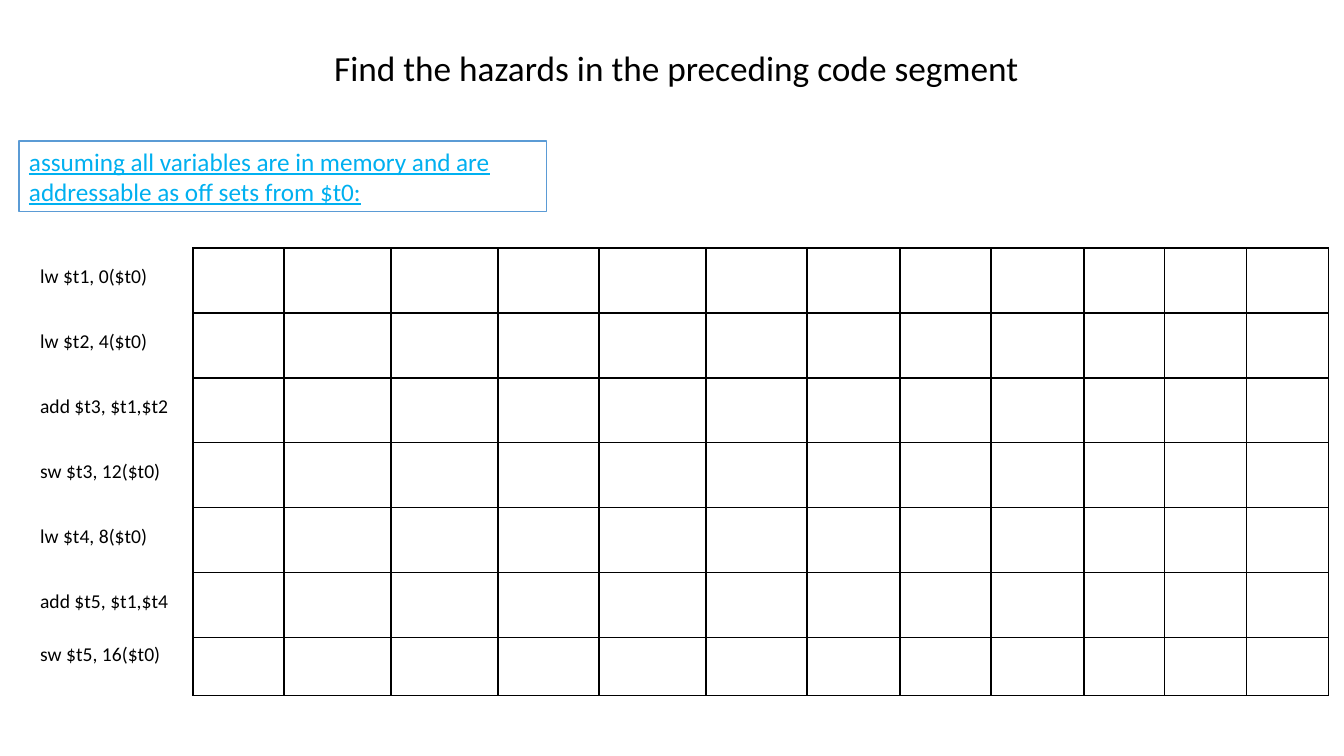
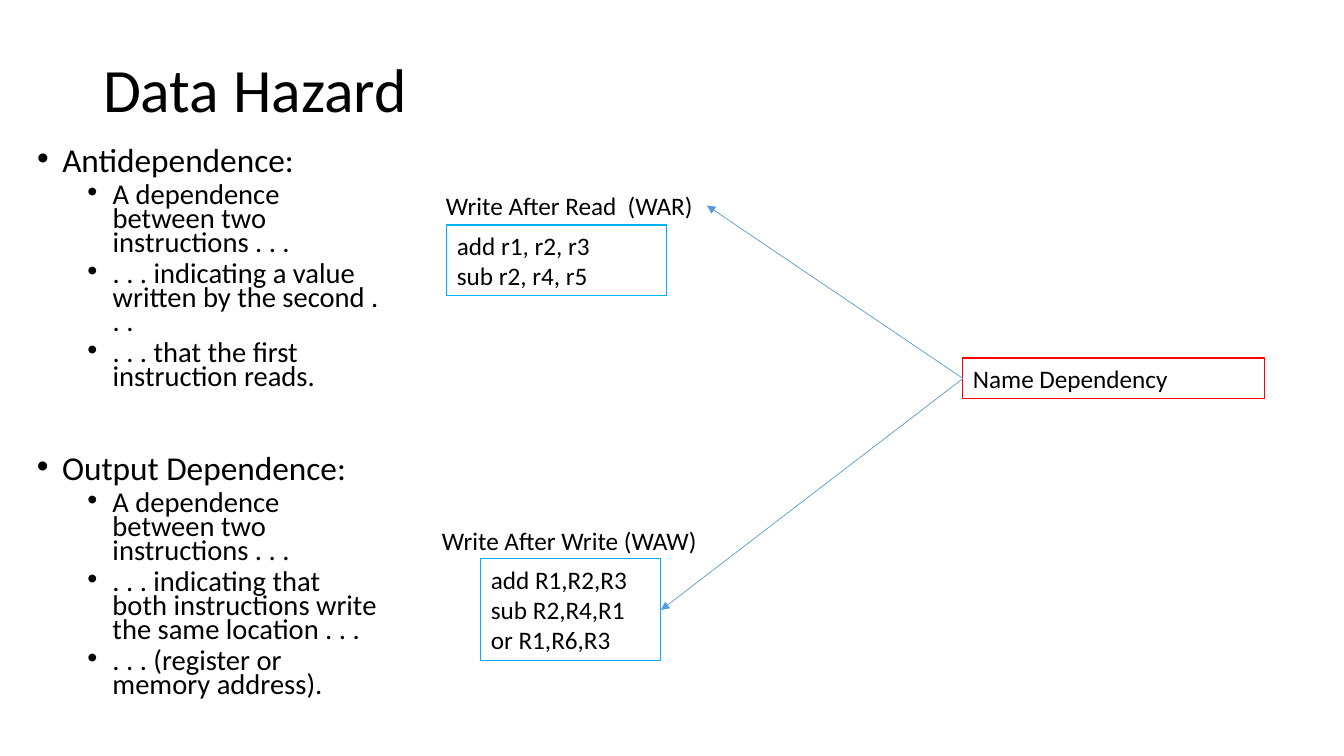
from lxml import etree
from pptx import Presentation
from pptx.dml.color import RGBColor
from pptx.enum.shapes import MSO_CONNECTOR, MSO_SHAPE
from pptx.enum.text import MSO_ANCHOR, MSO_AUTO_SIZE, PP_ALIGN
from pptx.oxml.ns import qn
from pptx.util import Emu, Pt

LEFT = PP_ALIGN.LEFT
TOP, MIDDLE = MSO_ANCHOR.TOP, MSO_ANCHOR.MIDDLE
FIXED, GROW = MSO_AUTO_SIZE.NONE, MSO_AUTO_SIZE.SHAPE_TO_FIT_TEXT
RECTANGLE = MSO_SHAPE.RECTANGLE
STRAIGHT = MSO_CONNECTOR.STRAIGHT
LEFT_SITE, RIGHT_SITE = 1, 3

PIXEL = 914400 / 100.8
FONT = "Calibri"
COLORS = {
    "text": "000000",
    "paper": "FFFFFF",
    "blue": "5B9BD5",
    "cyan": "00B0F0",
    "red": "FF0000",
}


def write_text(shape, lines, size, color="text", spacing=None, anchor=TOP, fit=FIXED, wrap=True):
    frame = shape.text_frame
    frame.word_wrap = wrap
    frame.auto_size = fit
    frame.vertical_anchor = anchor
    for index, line in enumerate(lines):
        paragraph = frame.add_paragraph() if index else frame.paragraphs[0]
        paragraph.alignment = LEFT
        paragraph.line_spacing = spacing
        run = paragraph.add_run()
        run.text = line
        run.font.name = FONT
        run.font.size = Pt(size)
        run.font.color.rgb = RGBColor.from_string(COLORS[color])
    return frame.paragraphs


def place(shape, *box):
    shape.left, shape.top, shape.width, shape.height = [Emu(round(side * PIXEL)) for side in box]
    return shape


presentation = Presentation()
presentation.slide_width = Emu(round(1344 * PIXEL))
presentation.slide_height = Emu(round(756 * PIXEL))
content_layout, title_layout = presentation.slide_layouts[1], presentation.slide_layouts[5]

titles = [
    (title_layout, "Find the hazards in the preceding code segment", 25.2, (324, 35, 856, 70)),
    (content_layout, "Data Hazard", 44, (93, 40, 355, 105)),
]
slides = []
for layout, heading, size, box in titles:
    slide = presentation.slides.add_slide(layout)
    title = place(slide.shapes.title, *box)
    write_text(title, [heading], size, spacing=0.9, anchor=MIDDLE)
    slides.append(slide)
exercise, hazards = slides

boxes = [
    (exercise, "blue", "cyan", (19, 141, 528, 71),
     ["assuming all variables are in memory and are addressable as off sets from $t0:"]),
    (hazards, "cyan", "text", (447, 225, 220, 71), ["add r1, r2, r3", "sub r2, r4, r5"]),
    (hazards, "cyan", "text", (481, 559, 180, 102), ["add R1,R2,R3", "sub R2,R4,R1", "or R1,R6,R3"]),
    (hazards, "red", "text", (963, 358, 302, 41), ["Name Dependency"]),
]
outlined = []
for slide, outline, color, box, lines in boxes:
    shape = place(slide.shapes.add_shape(RECTANGLE, 0, 0, 0, 0), *box)
    shape.shadow.inherit = False
    shape.fill.background()
    shape.line.color.rgb = RGBColor.from_string(COLORS[outline])
    shape.line.width = Pt(0.75)
    write_text(shape, lines, 18, color, fit=GROW)
    outlined.append(shape)
assumption, war_code, waw_code, name_dependency = outlined
assumption.text_frame.paragraphs[0].runs[0].font.underline = True

instructions = [
    "lw $t1, 0($t0)",
    "lw $t2, 4($t0)",
    "add $t3, $t1,$t2",
    "sw $t3, 12($t0)",
    "lw $t4, 8($t0)",
    "add $t5, $t1,$t4",
    "sw $t5, 16($t0)",
]
column_widths = [163, 91, 107, 107, 101, 107, 101, 93, 91, 93, 81, 82, 82]
row_heights = [65] * 6 + [58]
grid = exercise.shapes.add_table(len(row_heights), len(column_widths), 0, 0, 0, 0)
table = place(grid, 30, 248, sum(column_widths), sum(row_heights)).table
table.first_row = False
table.horz_banding = False
for column, width in zip(table.columns, column_widths):
    column.width = Emu(round(width * PIXEL))
for row_index, instruction in enumerate(instructions):
    row = table.rows[row_index]
    row.height = Emu(round(row_heights[row_index] * PIXEL))
    for column_index, cell in enumerate(row.cells):
        properties = cell._tc.get_or_add_tcPr()
        for edge in ("lnL", "lnR", "lnT", "lnB"):
            border = etree.SubElement(properties, qn("a:" + edge), w=str(Pt(1)))
            if column_index or edge == "lnR":
                ink = etree.SubElement(border, qn("a:solidFill"))
                etree.SubElement(ink, qn("a:srgbClr"), val=COLORS["text"])
            else:
                etree.SubElement(border, qn("a:noFill"))
        cell.fill.solid()
        cell.fill.fore_color.rgb = RGBColor.from_string(COLORS["paper"])
    last = row_index == len(instructions) - 1
    write_text_cell = row.cells[0].text_frame.paragraphs[0]
    write_text_cell.line_spacing = 1.0 if last else 1.5
    run = write_text_cell.add_run()
    run.text = instruction
    run.font.name = FONT
    run.font.size = Pt(14)
    run.font.color.rgb = RGBColor.from_string(COLORS["text"])

lists = [
    (hazards.placeholders[1], 145, [
        "Antidependence:",
        "A dependence between two instructions . . .",
        ". . . indicating a value written by the second . . .",
        ". . . that the first instruction reads.",
    ]),
    (hazards.shapes.add_textbox(0, 0, 0, 0), 453, [
        "Output Dependence:",
        "A dependence between two instructions . . .",
        ". . . indicating that both instructions write the same location . . .",
        ". . . (register or memory address).",
    ]),
]
for shape, top, lines in lists:
    place(shape, 27, top, 364, 266)
    paragraphs = write_text(shape, lines, 20.4, spacing=0.7)
    paragraphs[0].runs[0].font.size = Pt(23.8)
    for index, paragraph in enumerate(paragraphs):
        paragraph.level = 1 if index else 0
        paragraph.space_before = Pt(5 if index else 10)
        paragraph.space_after = Pt(0)
        properties = paragraph._p.get_or_add_pPr()
        properties.set("marL", str(Pt(54 if index else 18)))
        properties.set("indent", str(-Pt(18)))
        etree.SubElement(properties, qn("a:buFont"), typeface="Arial")
        etree.SubElement(properties, qn("a:buChar"), char="•")

labels = []
for text, box in [
    ("Write After Read  (WAR)", (436, 185, 271, 41)),
    ("Write After Write (WAW)", (432, 520, 278, 41)),
]:
    label = place(hazards.shapes.add_textbox(0, 0, 0, 0), *box)
    write_text(label, [text], 18, fit=GROW, wrap=False)
    labels.append(label)
war_label, waw_label = labels

for target in (war_label, waw_code):
    arrow = hazards.shapes.add_connector(STRAIGHT, 0, 0, 0, 0)
    arrow.begin_connect(name_dependency, LEFT_SITE)
    arrow.end_connect(target, RIGHT_SITE)
    arrow.line.color.rgb = RGBColor.from_string(COLORS["blue"])
    arrow.line.width = Pt(0.5)
    etree.SubElement(arrow.line._get_or_add_ln(), qn("a:tailEnd"), type="triangle")
    etree.SubElement(arrow._element.spPr, qn("a:effectLst"))

presentation.save("out.pptx")
